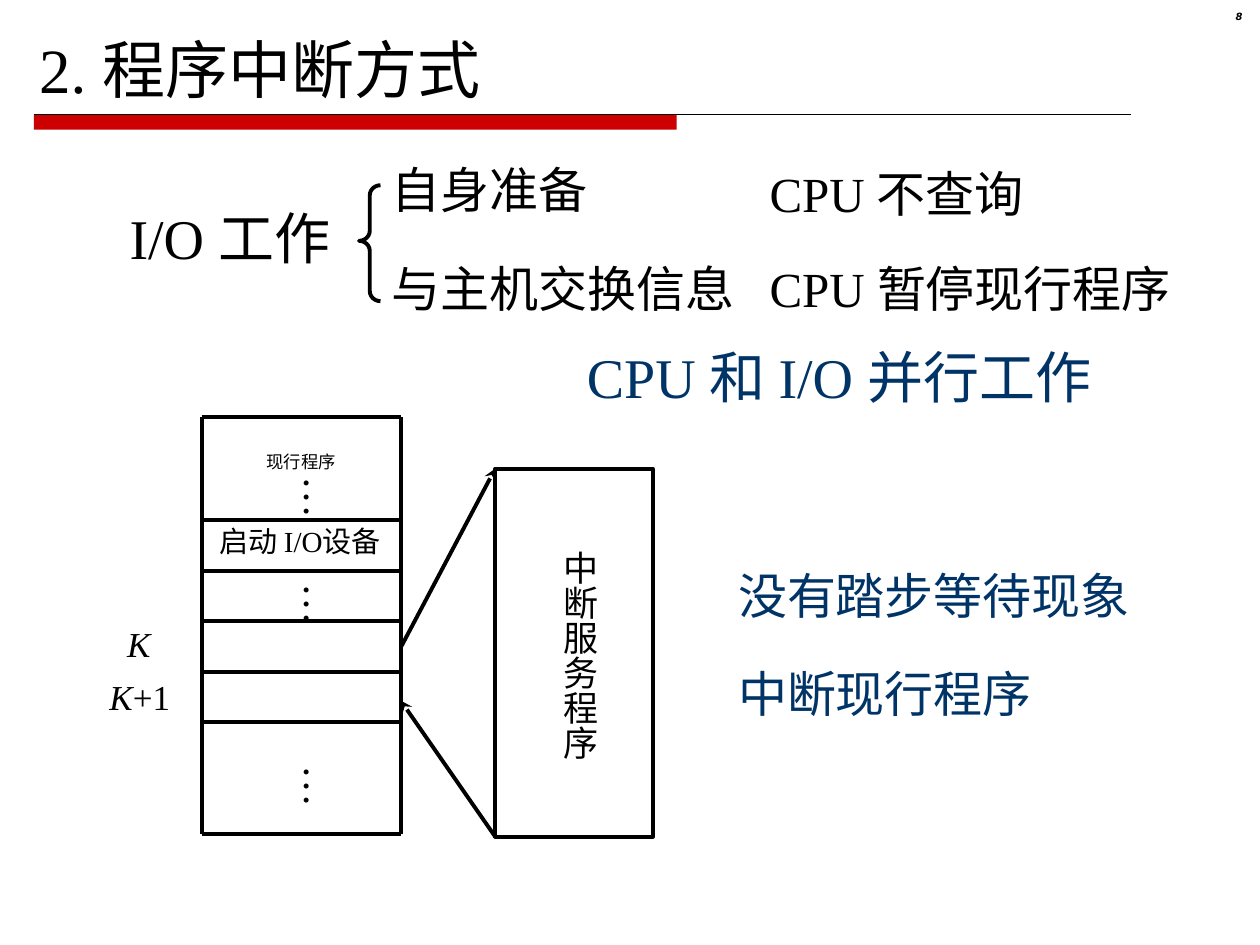
from dataclasses import dataclass

from lxml import etree
from pptx import Presentation
from pptx.dml.color import RGBColor
from pptx.enum.shapes import MSO_CONNECTOR, MSO_SHAPE
from pptx.enum.text import MSO_ANCHOR, MSO_AUTO_SIZE, PP_ALIGN
from pptx.oxml.ns import qn
from pptx.util import Inches, Pt

STRAIGHT = MSO_CONNECTOR.STRAIGHT
RECTANGLE, LEFT_BRACE = MSO_SHAPE.RECTANGLE, MSO_SHAPE.LEFT_BRACE
TOP, MIDDLE = MSO_ANCHOR.TOP, MSO_ANCHOR.MIDDLE
FIXED, GROW = MSO_AUTO_SIZE.NONE, MSO_AUTO_SIZE.SHAPE_TO_FIT_TEXT
LEFT, CENTER, RIGHT = PP_ALIGN.LEFT, PP_ALIGN.CENTER, PP_ALIGN.RIGHT

WIDTH, HEIGHT = Inches(10), Inches(7.5)
COLUMNS, ROWS = 100, 75


@dataclass(frozen=True)
class Theme:
    serif: str = "Times New Roman"
    sans: str = "DejaVu Sans"
    ink: str = "000000"
    accent: str = "003366"
    bar: str = "CC0000"
    title: float = 36
    heading: float = 32
    item: float = 28
    dots: float = 24
    label: float = 20
    cell: float = 16.6
    caption: float = 9.9
    number: float = 5.7
    hairline: float = 0.75
    stroke: float = 2.25


THEME = Theme()


@dataclass(frozen=True)
class Span:
    text: str
    italic: bool = False
    bold: bool = False


@dataclass(frozen=True)
class Label:
    area: tuple[float, float, float, float]
    spans: tuple[Span, ...]
    size: float
    color: str = THEME.ink
    font: str = THEME.serif
    wrap: bool = False
    grow: bool = True
    align: PP_ALIGN = LEFT
    anchor: MSO_ANCHOR = TOP
    spacing: float = 1.0
    insets: tuple[float, float, float, float] = (1, 0.5, 1, 0.5)
    vertical: bool = False


@dataclass(frozen=True)
class Stroke:
    start: tuple[float, float]
    end: tuple[float, float]
    width: float = THEME.stroke
    arrow: bool = False


def across(columns: float) -> int:
    return round(WIDTH * columns / COLUMNS)


def down(rows: float) -> int:
    return round(HEIGHT * rows / ROWS)


def place(area: tuple[float, float, float, float]) -> tuple[int, int, int, int]:
    left, top, width, height = area
    return across(left), down(top), across(width), down(height)


def fill_label(box, label: Label) -> None:
    box.left, box.top, box.width, box.height = place(label.area)
    frame = box.text_frame
    frame.word_wrap = label.wrap
    frame.auto_size = GROW if label.grow else FIXED
    frame.vertical_anchor = label.anchor
    left, top, right, bottom = label.insets
    frame.margin_left, frame.margin_right = across(left), across(right)
    frame.margin_top, frame.margin_bottom = down(top), down(bottom)
    if label.vertical:
        frame._txBody.bodyPr.set("vert", "eaVert")
    para = frame.paragraphs[0]
    para.alignment = label.align
    para.line_spacing = label.spacing
    for span in label.spans:
        run = para.add_run()
        run.text = span.text
        run.font.name = label.font
        run.font.size = Pt(label.size)
        run.font.bold = span.bold
        run.font.italic = span.italic
        run.font.color.rgb = RGBColor.from_string(label.color)


def add_label(page, label: Label) -> None:
    fill_label(page.shapes.add_textbox(*place(label.area)), label)


def add_stroke(page, stroke: Stroke) -> None:
    (x1, y1), (x2, y2) = stroke.start, stroke.end
    line = page.shapes.add_connector(STRAIGHT, across(x1), down(y1), across(x2), down(y2))
    line.line.color.rgb = RGBColor.from_string(THEME.ink)
    line.line.width = Pt(stroke.width)
    if stroke.arrow:
        etree.SubElement(line.line._get_or_add_ln(), qn("a:tailEnd"), type="stealth")
    etree.SubElement(line._element.spPr, qn("a:effectLst"))


def add_outline(page, kind: MSO_SHAPE, area: tuple[float, float, float, float]):
    shape = page.shapes.add_shape(kind, *place(area))
    shape.shadow.inherit = False
    shape.fill.background()
    shape.line.color.rgb = RGBColor.from_string(THEME.ink)
    shape.line.width = Pt(THEME.stroke)
    return shape


def add_heading(page) -> None:
    fill_label(page.shapes.title, Label((2.1, 1.9, 38.2, 7), (Span("2. 程序中断方式"),), THEME.title))
    bar = add_outline(page, RECTANGLE, (2.7, 9.1, 51, 1.2))
    bar.fill.solid()
    bar.fill.fore_color.rgb = RGBColor.from_string(THEME.bar)
    bar.line.fill.background()
    add_stroke(page, Stroke((2.7, 9.1), (89.8, 9.1), THEME.hairline))
    add_label(page, Label((93.7, 0.5, 5.9, 2.3), (Span("8", italic=True, bold=True),), THEME.number,
                          font=THEME.sans, wrap=True, grow=False, align=RIGHT, spacing=0.8))


def add_work_split(page) -> None:
    add_label(page, Label((9.3, 15.7, 22.5, 6.4), (Span("I/O 工作"),), THEME.heading, wrap=True))
    brace = add_outline(page, LEFT_BRACE, (28.5, 14.7, 1.7, 9.2))
    brace.adjustments[0], brace.adjustments[1] = 0.47, 0.48
    items = (
        ("自身准备", 30.1, 12.2, 21),
        ("与主机交换信息", 30.1, 20, 36),
        ("CPU 不查询", 60.1, 12.5, 29.3),
        ("CPU 暂停现行程序", 60.1, 20, 41.8),
    )
    for text, left, top, width in items:
        add_label(page, Label((left, top, width, 5.7), (Span(text),), THEME.item, wrap=True))


def add_conclusions(page) -> None:
    add_label(page, Label((45.6, 26.7, 47, 6.4), (Span("CPU 和 I/O 并行工作"),),
                          THEME.heading, THEME.accent, wrap=True))
    for text, top, width in (("没有踏步等待现象", 44.4, 35), ("中断现行程序", 52.2, 27)):
        add_label(page, Label((57.6, top, width, 5.7), (Span(text),),
                              THEME.item, THEME.accent, wrap=True))


def add_memory(page) -> None:
    left, right, top, bottom = 16, 31.8, 33.1, 66.2
    first, step = 41.3, 4
    rules = [top, *(first + step * index for index in range(5)), bottom]
    for row in rules:
        add_stroke(page, Stroke((left, row), (right, row)))
    for column in (left, right):
        add_stroke(page, Stroke((column, top), (column, bottom)))

    add_label(page, Label((left, 35.8, right - left, 4), (Span("现行程序"),), THEME.caption,
                          wrap=True, grow=False, align=CENTER, anchor=MIDDLE, spacing=0.8,
                          insets=(1, 0, 1, 2)))
    add_label(page, Label((16.4, 41.1, right - left, 4), (Span("启动 I/O设备"),), THEME.cell,
                          wrap=True, grow=False, align=CENTER, anchor=MIDDLE, spacing=0.9,
                          insets=(0, 0, 1, 0)))
    upright = (0.5, 0.5, 0.5, 0.5)
    for row in (36.8, 45.3, 59.8):
        add_label(page, Label((22, row, 6, 4.4), (Span("…"),), THEME.dots,
                              insets=upright, vertical=True))

    address = Span("K", italic=True)
    add_label(page, Label((9.1, 48.9, 3.8, 4.4), (address,), THEME.label))
    add_label(page, Label((7.7, 53.1, 6.8, 4.4), (address, Span("+1")), THEME.label))

    service_left, service_top, service_height = 39.3, 37.2, 29.2
    add_outline(page, RECTANGLE, (service_left, service_top, 12.5, service_height))
    add_label(page, Label((42.9, 42.7, 5.3, 17.7), (Span("中断服务程序"),), THEME.label,
                          insets=upright, vertical=True))
    service_bottom = service_top + service_height
    add_stroke(page, Stroke((right, 51.4), (service_left, service_top), arrow=True))
    add_stroke(page, Stroke((service_left, service_bottom), (right, 55.6), arrow=True))


def main() -> None:
    deck = Presentation()
    deck.slide_width, deck.slide_height = WIDTH, HEIGHT
    page = deck.slides.add_slide(deck.slide_layouts.get_by_name("Title Only"))
    add_heading(page)
    add_work_split(page)
    add_conclusions(page)
    add_memory(page)
    deck.save("out.pptx")


if __name__ == "__main__":
    main()
